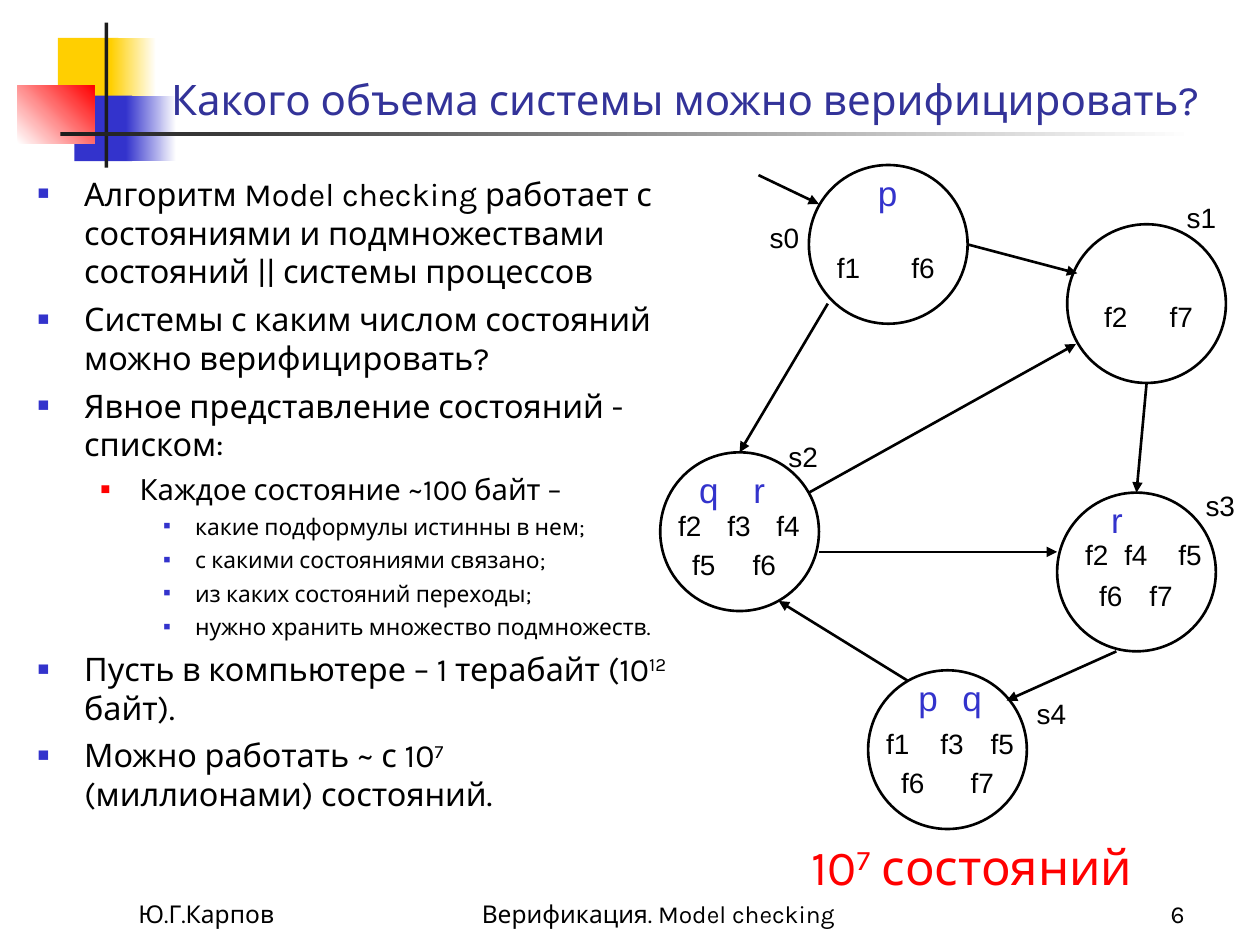
from lxml import etree
from pptx import Presentation, util as u
from pptx.dml.color import RGBColor
from pptx.enum import shapes, text
from pptx.oxml.ns import qn

PX = 9144
BLUE, RED, YELLOW, BLACK, DARK, WHITE = "3333CC", "FF0000", "FFCF01", "000000", "1C1C1C", "FFFFFF"
colour = RGBColor.from_string
LEFT, CENTER, RIGHT = text.PP_ALIGN.LEFT, text.PP_ALIGN.CENTER, text.PP_ALIGN.RIGHT
TOP, BOTTOM = text.MSO_ANCHOR.TOP, text.MSO_ANCHOR.BOTTOM


def fill_runs(paragraph, words, size, color, font="Karla"):
    for index, part in enumerate(words.split("^")):
        run = paragraph.add_run()
        run.text = part
        run.font.size = u.Pt(size)
        run.font.name = font
        run.font.color.rgb = colour(color)
        if index % 2:
            run.font._element.set("baseline", "30000")


def add_text(parent, box, words, size, color, font="Karla", align=CENTER, anchor=TOP):
    frame = parent.add_textbox(*(v * PX for v in box)).text_frame
    frame.word_wrap = True
    frame.vertical_anchor = anchor
    frame.paragraphs[0].alignment = align
    fill_runs(frame.paragraphs[0], words, size, color, font)


presentation = Presentation()
presentation.slide_width, presentation.slide_height = 1000 * PX, 750 * PX
slide = presentation.slides.add_slide(presentation.slide_layouts[6])

decorations = [
    ((46, 30, 48, 52), YELLOW, None, 0),
    ((88, 30, 36, 52), YELLOW, WHITE, 0),
    ((59, 76, 46, 52), BLUE, None, 0),
    ((100, 76, 40, 52), BLUE, WHITE, 0),
    ((14, 68, 61, 46), WHITE, RED, 45),
    ((83, 18, 3, 115), DARK, None, 0),
    ((48, 105, 900, 3), DARK, WHITE, 0),
]
for box, start, end, angle in decorations:
    shape = slide.shapes.add_shape(shapes.MSO_SHAPE.RECTANGLE, *(v * PX for v in box))
    shape.shadow.inherit = False
    shape.line.fill.background()
    if end:
        shape.fill.gradient()
        shape.fill.gradient_angle = angle
        for stop, color in zip(shape.fill.gradient_stops, (start, end)):
            stop.color.rgb = colour(color)
    else:
        shape.fill.solid()
        shape.fill.fore_color.rgb = colour(start)

add_text(slide.shapes, (126, 23, 852, 80), "Какого объема системы можно верифицировать?",
         24, "333399", align=LEFT, anchor=BOTTOM)

levels = [
    (18.5, 37, 37, 5, BLUE, 60),
    (16.7, 81, 31, 4.5, RED, 55),
    (13, 125, 25, 3.5, BLUE, 50),
]
points = [
    (0, "Алгоритм Model checking работает с состояниями и подмножествами состояний || системы процессов"),
    (0, "Системы с каким числом состояний можно верифицировать?"),
    (0, "Явное представление состояний - списком:"),
    (1, "Каждое состояние ~100 байт –"),
    (2, "какие подформулы истинны в нем;"),
    (2, "с какими состояниями связано;"),
    (2, "из каких состояний переходы;"),
    (2, "нужно хранить множество подмножеств."),
    (0, "Пусть в компьютере – 1 терабайт (10^12^ байт)."),
    (0, "Можно работать ~ с 10^7^ (миллионами) состояний."),
]
frame = slide.shapes.add_textbox(20 * PX, 133 * PX, 520 * PX, 580 * PX).text_frame
frame.word_wrap = True
for index, (level, words) in enumerate(points):
    size, margin, hanging, before, bullet_color, bullet_size = levels[level]
    paragraph = frame.add_paragraph() if index else frame.paragraphs[0]
    paragraph.level = level
    if index:
        paragraph.space_before = u.Pt(before)
    properties = paragraph._p.get_or_add_pPr()
    properties.set("marL", str(margin * PX))
    properties.set("indent", str(-hanging * PX))
    bullet = etree.SubElement(properties, qn("a:buClr"))
    etree.SubElement(bullet, qn("a:srgbClr"), val=bullet_color)
    etree.SubElement(properties, qn("a:buSzPct"), val=str(bullet_size * 1000))
    etree.SubElement(properties, qn("a:buFont"), typeface="Arial")
    etree.SubElement(properties, qn("a:buChar"), char="■")
    fill_runs(paragraph, words, size, BLACK)

for left, width, words, align in [
    (100, 208, "Ю.Г.Карпов", LEFT),
    (364, 317, "Верификация. Model checking", CENTER),
    (742, 208, "6", RIGHT),
]:
    add_text(slide.shapes, (left, 692, width, 50), words, 14, BLACK, align=align, anchor=BOTTOM)

graph = slide.shapes.add_group_shape().shapes
states = [
    ((642, 131), [(170, {"s0": 595}), (131, {"p": 677}), (194, {"f1": 646, "f6": 705})]),
    ((847, 178), [(154, {"s1": 926}), (233, {"f2": 858, "f7": 910})]),
    ((524, 359), [(344, {"s2": 610}), (367, {"q": 535, "r": 575}),
                  (399, {"f2": 520, "f3": 559, "f4": 598}), (430, {"f5": 531, "f6": 579})]),
    ((839, 391), [(383, {"s3": 941}), (391, {"r": 859}),
                  (422, {"f2": 843, "f4": 874, "f5": 917}), (454, {"f6": 854, "f7": 894})]),
    ((689, 532), [(548, {"s4": 807}), (532, {"p": 709, "q": 744}),
                  (572, {"f1": 685, "f3": 728, "f5": 768}), (603, {"f6": 697, "f7": 752})]),
]
for (left, top), rows in states:
    circle = graph.add_shape(shapes.MSO_SHAPE.OVAL, left * PX, top * PX, 126 * PX, 126 * PX)
    circle.shadow.inherit = False
    circle.fill.background()
    circle.line.color.rgb = colour(BLACK)
    circle.line.width = u.Pt(1.5)
    for row_top, labels in rows:
        for label, label_left in labels.items():
            height, size, color = (44, 20, BLUE) if len(label) == 1 else (37, 16, BLACK)
            add_text(graph, (label_left, row_top, 55, height), label, size, color, "Arial")

transitions = [
    (602, 139, 650, 162), (768, 194, 855, 217), (657, 241, 587, 359),
    (642, 391, 854, 273), (910, 304, 902, 391), (650, 438, 839, 438),
    (886, 517, 799, 556), (720, 540, 618, 477),
]
for ends in transitions:
    arrow = graph.add_connector(shapes.MSO_CONNECTOR.STRAIGHT, *(v * PX for v in ends))
    arrow.line.color.rgb = colour(BLACK)
    arrow.line.width = u.Pt(1.5)
    etree.SubElement(arrow.line._get_or_add_ln(), qn("a:tailEnd"), type="triangle")
    etree.SubElement(arrow._element.spPr, qn("a:effectLst"))

add_text(slide.shapes, (555, 659, 433, 57), "10^7^ состояний", 28, RED)

presentation.save("out.pptx")
